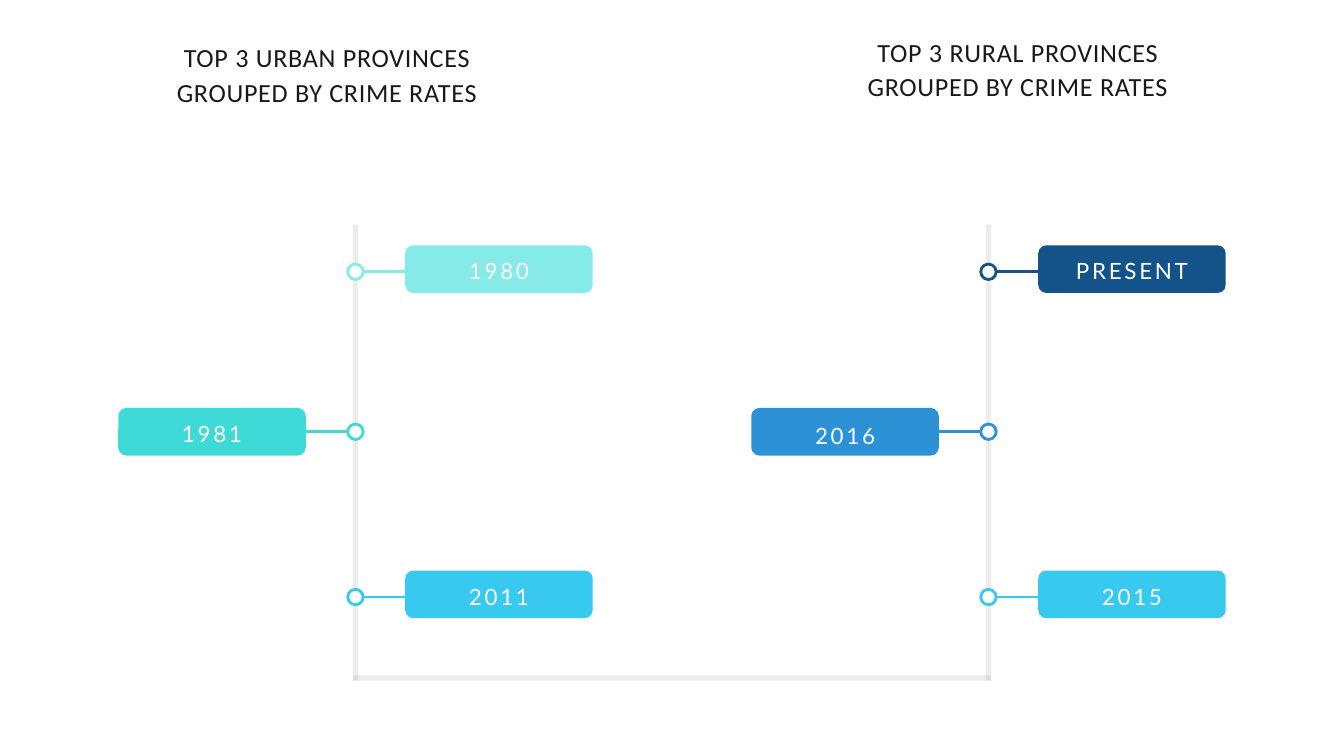
from dataclasses import dataclass

from lxml import etree
from pptx import Presentation
from pptx.dml.color import RGBColor
from pptx.enum import shapes, text
from pptx.oxml import ns
from pptx.util import Inches, Pt


@dataclass(frozen=True)
class Theme:
    ink: str = "191919"
    white: str = "FFFFFF"
    mint: str = "86EAE9"
    teal: str = "3EDAD8"
    sky: str = "37C9EF"
    blue: str = "2C92D5"
    navy: str = "13538A"
    head: tuple = ("Calibri", 28, 36.7, 0.8)
    label: tuple = ("Lato", 24, 38.4, 2.9)
    stroke: float = 3


THEME = Theme()
AXES = (5.29, 14.71)
TOP, BASE, RAIL = 3.34, 10.09, 0.08
WIDE, HIGH, GAP, DOT = 2.79, 0.71, 0.74, 0.23
FIRST, STEP = 3.65, 2.42


def paint(fmt, color):
    fmt.solid()
    fmt.fore_color.rgb = RGBColor.from_string(color)


def add_form(slide, kind, left, top, width, height, color):
    form = slide.shapes.add_shape(
        kind, Inches(left), Inches(top), Inches(width), Inches(height))
    form.shadow.inherit = False
    paint(form.fill, color)
    form.line.fill.background()
    return form


def add_rail(slide, left, top, width, height):
    rail = add_form(slide, shapes.MSO_SHAPE.RECTANGLE,
                    left, top, width, height, THEME.ink)
    tint = rail.fill._xPr.find(".//" + ns.qn("a:srgbClr"))
    etree.SubElement(tint, ns.qn("a:alpha"), val="8000")


def add_text(slide, left, top, width, height, lines, style, color):
    face, size, lead, track = style
    box = slide.shapes.add_textbox(
        Inches(left), Inches(top), Inches(width), Inches(height))
    frame = box.text_frame
    frame.word_wrap = True
    frame.margin_left = frame.margin_right = 0
    frame.margin_top = frame.margin_bottom = 0
    frame.text = "\n".join(lines)
    for para in frame.paragraphs:
        para.alignment = text.PP_ALIGN.CENTER
        para.line_spacing = Pt(lead)
        para.font.name = face
        para.font.size = Pt(size)
        para.font.color.rgb = RGBColor.from_string(color)
        for run in para.runs:
            run.font._element.set("spc", str(round(track * 100)))


def add_stem(slide, start, end, y, color):
    stem = slide.shapes.add_connector(
        shapes.MSO_CONNECTOR.STRAIGHT,
        Inches(start), Inches(y), Inches(end), Inches(y))
    paint(stem.line.fill, color)
    stem.line.width = Pt(THEME.stroke)
    etree.SubElement(stem._element.spPr, ns.qn("a:effectLst"))


def add_event(slide, axis, row, label, color, drop):
    side = -1 if row == 1 else 1
    top = FIRST + row * STEP
    mid = top + HIGH / 2 + (0.04 if side > 0 else 0)
    edge = axis + side * GAP
    left = edge if side > 0 else edge - WIDE
    add_stem(slide, axis + side * DOT / 2, edge, mid, color)
    dot = add_form(slide, shapes.MSO_SHAPE.OVAL,
                   axis - DOT / 2, mid - DOT / 2, DOT, DOT, THEME.white)
    paint(dot.line.fill, color)
    dot.line.width = Pt(THEME.stroke)
    badge = add_form(slide, shapes.MSO_SHAPE.ROUNDED_RECTANGLE,
                     left, top, WIDE, HIGH, color)
    badge.adjustments[0] = 0.17
    add_text(slide, left + 0.25, top + drop, WIDE - 0.5, 0.5,
             [label], THEME.label, THEME.white)


def main():
    deck = Presentation()
    deck.slide_width, deck.slide_height = Inches(20), Inches(11.25)
    slide = deck.slides.add_slide(deck.slide_layouts[6])
    for axis in AXES:
        add_rail(slide, axis - RAIL / 2, TOP, RAIL, BASE + RAIL / 2 - TOP)
    add_rail(slide, AXES[0] - RAIL / 2, BASE - RAIL / 2,
             AXES[1] - AXES[0] + RAIL, RAIL)
    sides = (
        ("URBAN", 0.91, 0.58, (("1980", THEME.mint, 0.05),
                               ("1981", THEME.teal, 0.05),
                               ("2011", THEME.sky, 0.05))),
        ("RURAL", 11.19, 0.5, (("PRESENT", THEME.navy, 0.05),
                               ("2016", THEME.blue, 0.08),
                               ("2015", THEME.sky, 0.05))),
    )
    for axis, (area, left, top, events) in zip(AXES, sides):
        add_text(slide, left, top, 7.91, 0.98,
                 [f"TOP 3 {area} PROVINCES", "GROUPED BY CRIME RATES"],
                 THEME.head, THEME.ink)
        for row, event in enumerate(events):
            add_event(slide, axis, row, *event)
    deck.save("out.pptx")


if __name__ == "__main__":
    main()
